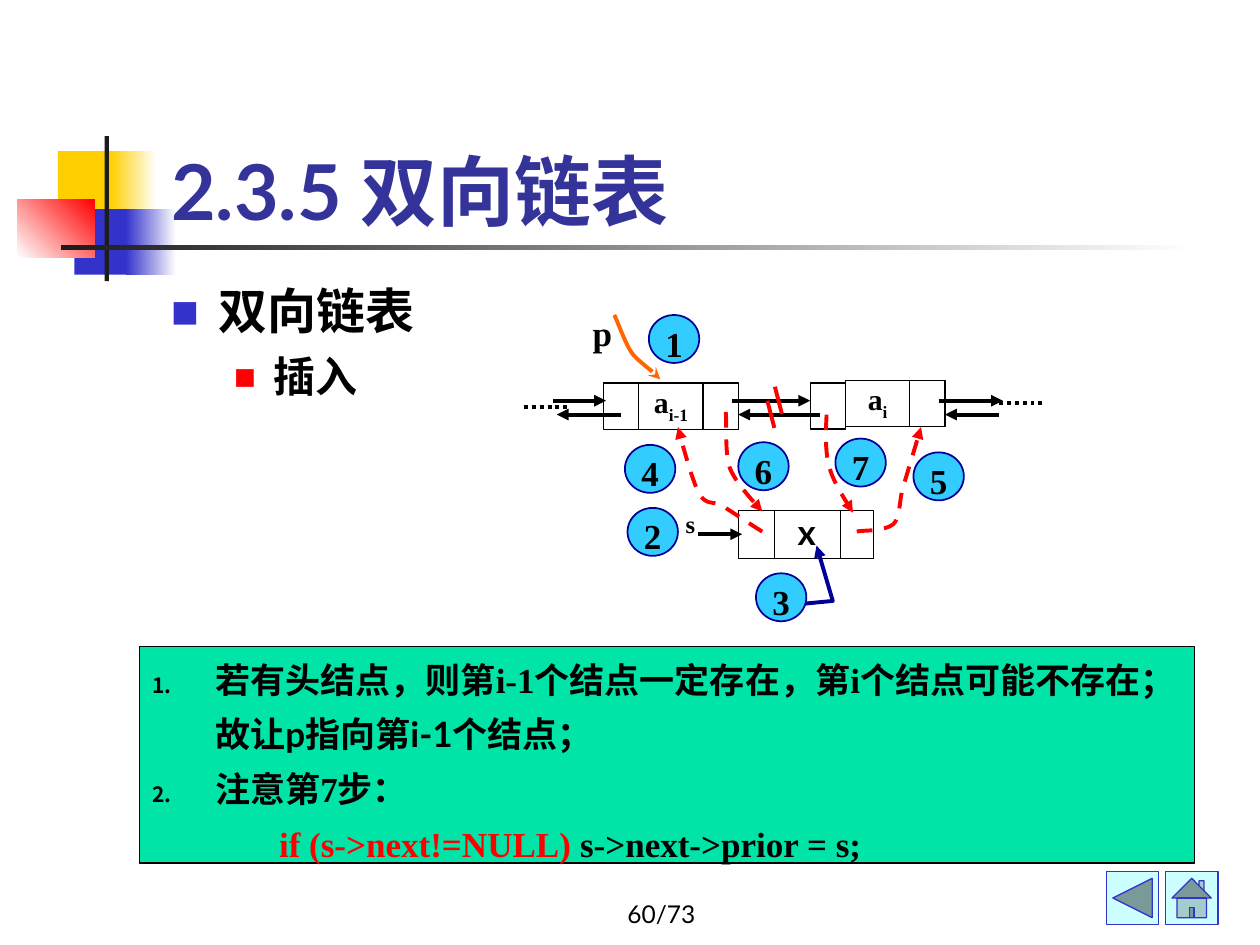
from lxml.etree import SubElement
from pptx import Presentation
from pptx.dml.color import RGBColor
from pptx.enum.dml import MSO_LINE_DASH_STYLE as DASH
from pptx.enum.shapes import MSO_CONNECTOR, MSO_SHAPE as SHAPE
from pptx.enum.text import MSO_ANCHOR as ANCHOR, PP_ALIGN as ALIGN
from pptx.oxml.ns import qn
from pptx.util import Pt

SERIF, SANS = "Times New Roman", "Lato"
BLACK, RED, NAVY = "000000", "FF0000", "000099"


def rgb(hex_color):
    return RGBColor.from_string(hex_color)


def style_line(shape, color, width, dash=None, head=None, tail=None):
    line = shape.line
    line.color.rgb = rgb(color)
    line.width = Pt(width)
    if dash:
        line.dash_style = dash
    for tag, kind in (("a:headEnd", head), ("a:tailEnd", tail)):
        if kind:
            SubElement(line._get_or_add_ln(), qn(tag), type=kind)


def add_shape(s, kind, box, fill=None, line=None, width=0.75):
    sp = s.shapes.add_shape(kind, *map(Pt, box))
    sp.shadow.inherit = False
    if fill:
        sp.fill.solid()
        sp.fill.fore_color.rgb = rgb(fill)
    else:
        sp.fill.background()
    if line:
        style_line(sp, line, width)
    else:
        sp.line.fill.background()
    return sp


def add_gradient(s, box, start, end, angle=0):
    sp = add_shape(s, SHAPE.RECTANGLE, box)
    sp.fill.gradient()
    sp.fill.gradient_angle = angle
    for stop, color in zip(sp.fill.gradient_stops, (start, end)):
        stop.color.rgb = rgb(color)


def format_frame(sp, margins=(0, 0, 0, 0), anchor=ANCHOR.TOP, wrap=True):
    tf = sp.text_frame
    left, top, right, bottom = map(Pt, margins)
    values = {"margin_left": left, "margin_top": top, "margin_right": right,
              "margin_bottom": bottom, "vertical_anchor": anchor, "word_wrap": wrap}
    for name, value in values.items():
        setattr(tf, name, value)
    return tf


def add_run(p, text, size, font=SERIF, color=BLACK, bold=True, base=None):
    r = p.add_run()
    r.text = text
    values = {"size": Pt(size), "name": font, "bold": bold}
    for name, value in values.items():
        setattr(r.font, name, value)
    r.font.color.rgb = rgb(color)
    if base:
        r.font._element.set("baseline", str(base))


def add_text(s, box, text, size, font=SERIF, bold=True, align=ALIGN.CENTER, **frame):
    tf = format_frame(s.shapes.add_textbox(*map(Pt, box)), **frame)
    p = tf.paragraphs[0]
    p.alignment = align
    add_run(p, text, size, font, bold=bold)
    return p


def set_bullet(p, left, hanging, color, percent, char=None):
    ppr = p._p.get_or_add_pPr()
    ppr.set("marL", str(Pt(left)))
    ppr.set("indent", str(-Pt(hanging)))
    SubElement(SubElement(ppr, qn("a:buClr")), qn("a:srgbClr"), val=color)
    SubElement(ppr, qn("a:buSzPct"), val=str(percent * 1000))
    SubElement(ppr, qn("a:buFont"), typeface=SANS)
    if char:
        SubElement(ppr, qn("a:buChar"), char=char)
    else:
        SubElement(ppr, qn("a:buAutoNum"), type="arabicPeriod")


def add_line(s, x1, y1, x2, y2, color=BLACK, **style):
    cn = s.shapes.add_connector(MSO_CONNECTOR.STRAIGHT, *map(Pt, (x1, y1, x2, y2)))
    SubElement(cn._element.spPr, qn("a:effectLst"))
    style_line(cn, color, 2.25, **style)


def add_outline(s, points, color, **style):
    points = [(Pt(x), Pt(y)) for x, y in points]
    builder = s.shapes.build_freeform(*points[0])
    builder.add_line_segments(points[1:], close=False)
    sp = builder.convert_to_shape()
    sp.shadow.inherit = False
    sp.fill.background()
    style_line(sp, color, 2.25, **style)


def curve_points(knots, steps=12):
    points = [knots[0]]
    for i in range(0, len(knots) - 1, 3):
        for k in range(1, steps + 1):
            t = k / steps
            weights = ((1 - t) ** 3, 3 * t * (1 - t) ** 2, 3 * t * t * (1 - t), t ** 3)
            points.append(tuple(sum(w * knot[axis] for w, knot in zip(weights, knots[i:i + 4]))
                                for axis in (0, 1)))
    return points


def add_step(s, number, x, y):
    sp = add_shape(s, SHAPE.OVAL, (x, y, 28.8, 27.4), "33CCFF", NAVY, 1)
    p = format_frame(sp).paragraphs[0]
    p.alignment = ALIGN.CENTER
    add_run(p, str(number), 20)


def add_node(s, cells, height, subscript=None):
    for i, (x, y, width) in enumerate(cells):
        sp = add_shape(s, SHAPE.RECTANGLE, (x, y, width, height), line=BLACK)
        if i == 1 and subscript:
            p = format_frame(sp, (1.5, 0.75, 1.5, 0.75)).paragraphs[0]
            p.alignment, p.line_spacing = ALIGN.CENTER, 0.9
            add_run(p, "a", 17)
            add_run(p, subscript, 17, base=-25000)


def add_decoration(s):
    add_shape(s, SHAPE.RECTANGLE, (33.1, 86.4, 34.6, 37.4), "FFCF01")
    add_gradient(s, (63.4, 86.4, 25.9, 37.4), "FFCF01", "FFFFFF")
    add_shape(s, SHAPE.RECTANGLE, (42.5, 119.5, 33.1, 37.4), "3333CC")
    add_gradient(s, (72, 119.5, 28.8, 37.4), "3333CC", "FFFFFF")
    add_gradient(s, (10, 113.8, 44, 33.1), "FFFFFF", RED, 45)
    add_shape(s, SHAPE.RECTANGLE, (59.8, 77.8, 2.4, 82.8), "1C1C1C")
    add_gradient(s, (34.6, 140.2, 648, 2.4), "1C1C1C", "FFFFFF")


def add_title(s):
    title = s.shapes.title
    for name, value in zip(("left", "top", "width", "height"), (90.7, 48.2, 613.4, 90)):
        setattr(title, name, Pt(value))
    p = format_frame(title, (7.2, 3.6, 7.2, 3.6), ANCHOR.BOTTOM).paragraphs[0]
    p.alignment = ALIGN.LEFT
    add_run(p, "2.3.5 双向链表", 44, SANS, "333399")
    s.shapes._spTree.append(title._element)


def add_outline_text(s):
    tf = format_frame(s.shapes.add_textbox(Pt(90.7), Pt(157), Pt(612), Pt(336)),
                      (7.2, 3.6, 7.2, 3.6))
    p = tf.paragraphs[0]
    set_bullet(p, 27, 27, "3333CC", 60, "■")
    add_run(p, "双向链表", 28)
    p = tf.add_paragraph()
    p.level = 1
    set_bullet(p, 58.5, 22.5, RED, 55, "■")
    p.space_before = Pt(6)
    add_run(p, "插入", 24, SANS)


def add_list_diagram(s):
    add_node(s, [(344.9, 218.9, 20.1), (365, 218.9, 36.8), (401.8, 218.9, 20.1)], 26.6, "i-1")
    add_node(s, [(463, 218.9, 20.1), (483.1, 217.4, 36.8), (519.9, 217.4, 20.1)], 26.3, "i")
    add_node(s, [(421.9, 291.6, 20.5), (442.6, 291.6, 37.8), (480.4, 291.6, 19)], 27.4)
    for x, y in ((299.5, 232.6), (571, 230.4)):
        add_line(s, x, y, x + 26.6, y, dash=DASH.ROUND_DOT)
    for x1, x2, y in ((418.3, 463, 229), (536.4, 573.1, 229), (316.1, 346.3, 229),
                      (468.7, 421.9, 236.9), (571, 540, 236.9), (355, 318.2, 236.9),
                      (398.9, 424.1, 305.3)):
        add_line(s, x1, y, x2, y, tail="triangle")
    for x, y in ((438.5, 229), (442.8, 221)):
        add_line(s, x, y, x + 4, y + 15.5, RED)
    pointer = [(351, 180), (353, 183.6), (357, 196), (361.5, 202.3),
               (366.5, 208), (374.4, 213), (377.3, 216.7)]
    add_outline(s, curve_points(pointer), "FF6600", tail="stealth")
    links = [
        [(489.6, 303.8), (492.5, 303), (505.4, 303.8), (510.5, 299.5), (514.8, 295.2),
         (513.4, 287.3), (516.2, 277.9), (519, 268.6), (524.2, 251.3), (526.3, 244.1)],
        [(435.6, 303.8), (432, 301.7), (419, 293), (413.3, 289.4), (407.5, 285.8),
         (403.9, 289.4), (399.6, 282.2), (395.3, 274.3), (389.5, 252), (387.4, 244.1)],
        [(472.3, 236.9), (472.3, 241.2), (470.9, 256.3), (473.8, 266.4),
         (475.9, 275.8), (484.6, 288), (487.4, 293)],
        [(414.7, 235.4), (415.4, 241.2), (414, 257.8), (416.9, 267.1),
         (420.5, 276.5), (431.3, 287.3), (435.6, 292.3)]]
    for knots in links:
        add_outline(s, curve_points(knots), RED, dash=DASH.DASH, tail="triangle")
    add_outline(s, [(466.6, 311.8), (475.9, 343.4), (460.1, 344.9)], NAVY, head="triangle")
    centers = [(370.8, 180), (358.6, 290.2), (432, 327.6), (357.1, 254.2),
               (522, 258.5), (421.9, 252.7), (477.4, 250.6)]
    for number, (x, y) in enumerate(centers, 1):
        add_step(s, number, x, y)
    add_text(s, (334.1, 177.8, 20.2, 35.3), "p", 20, margins=(1.5, 0, 1.5, 0.75))
    add_text(s, (385.2, 293.8, 18.7, 20.2), "s", 14, margins=(1.5, 0, 1.5, 0.75)).line_spacing = 0.8
    add_text(s, (455.8, 291.6, 14.4, 23.8), "x", 20, SANS, align=ALIGN.LEFT)


def add_notes_box(s):
    sp = add_shape(s, SHAPE.RECTANGLE, (79.9, 369.4, 602.6, 123.8), "00E4A8", BLACK)
    tf = format_frame(sp, (7.2, 3.6, 7.2, 3.6), ANCHOR.MIDDLE, False)
    first, second, code = tf.paragraphs[0], tf.add_paragraph(), tf.add_paragraph()
    for p in (first, second):
        set_bullet(p, 36, 36, BLACK, 60)
    code._p.get_or_add_pPr().set("marL", str(Pt(72.5)))
    for p in (first, second, code):
        p.alignment, p.line_spacing = ALIGN.LEFT, 1.3
    add_run(first, "若有头结点，则第i-1个结点一定存在，第i个结点可能不存在；", 20)
    first.add_line_break()
    add_run(first, "故让", 20)
    add_run(first, "p指向第i-1个结点；", 20, SANS)
    add_run(second, "注意第7步：", 20)
    add_run(code, "if (s->next!=NULL)", 20, color=RED)
    add_run(code, " s->next->prior = s;", 20)


def main():
    prs = Presentation()
    prs.slide_width, prs.slide_height = Pt(720), Pt(540)
    s = prs.slides.add_slide(prs.slide_layouts[5])
    add_decoration(s)
    add_title(s)
    add_outline_text(s)
    add_list_diagram(s)
    add_notes_box(s)
    add_text(s, (303.1, 498.2, 149.8, 36), "60/73", 14, SANS, False,
             margins=(7.2, 3.6, 7.2, 3.6), anchor=ANCHOR.BOTTOM)
    for kind, x in ((SHAPE.ACTION_BUTTON_BACK_OR_PREVIOUS, 632.2), (SHAPE.ACTION_BUTTON_HOME, 666)):
        add_shape(s, kind, (x, 498.2, 30, 30), "CCFFFF", "3333CC")
    prs.save("out.pptx")


if __name__ == "__main__":
    main()
